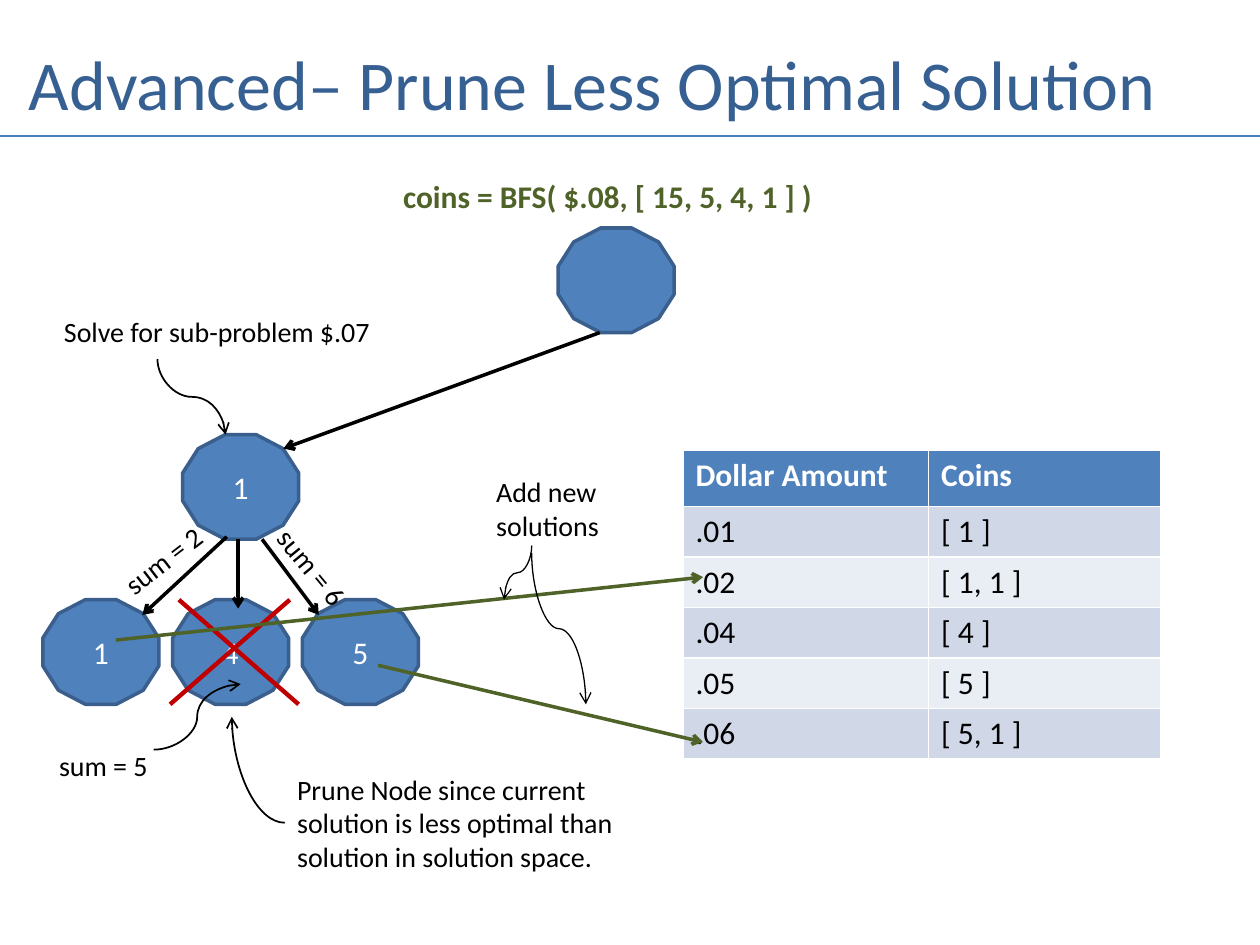
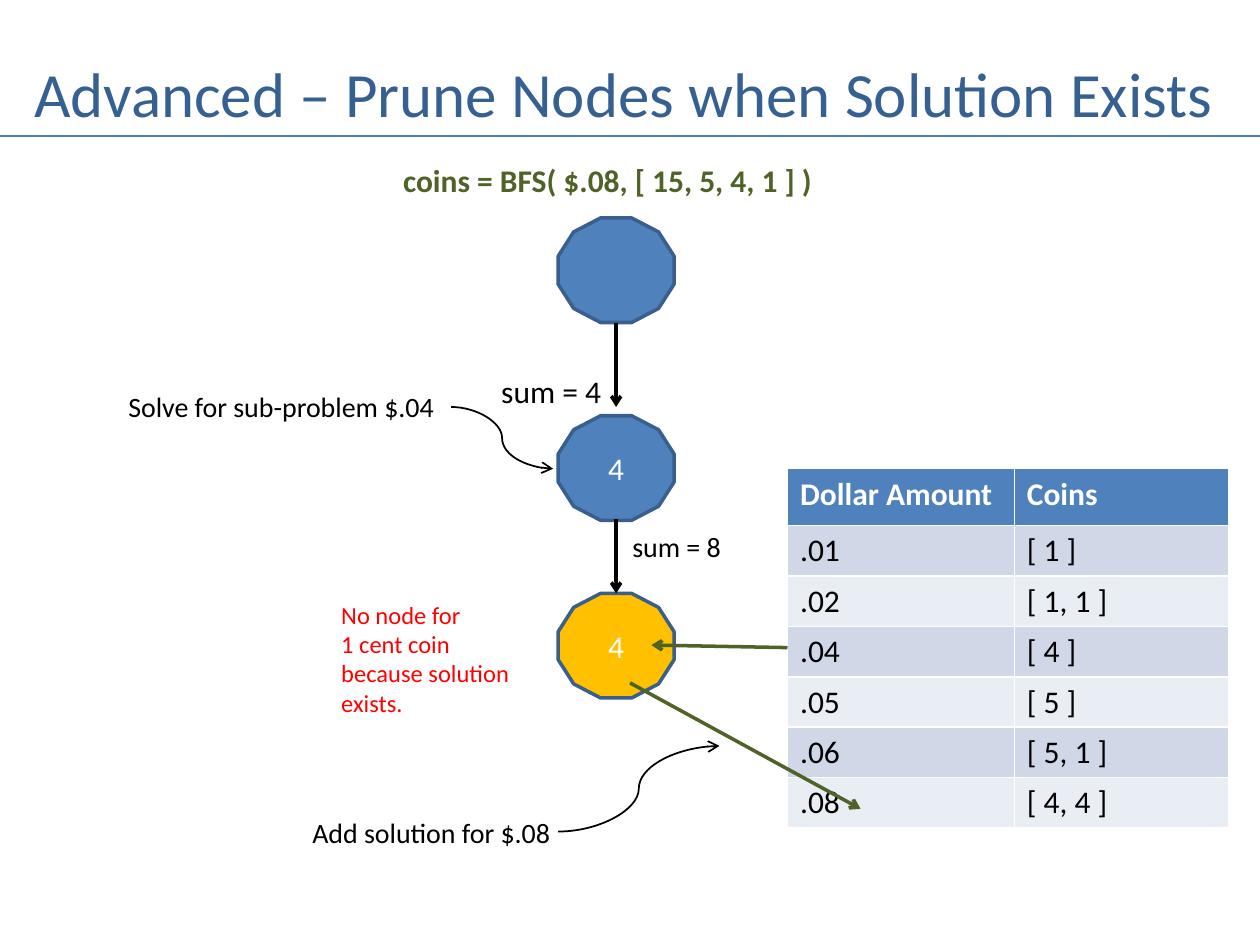
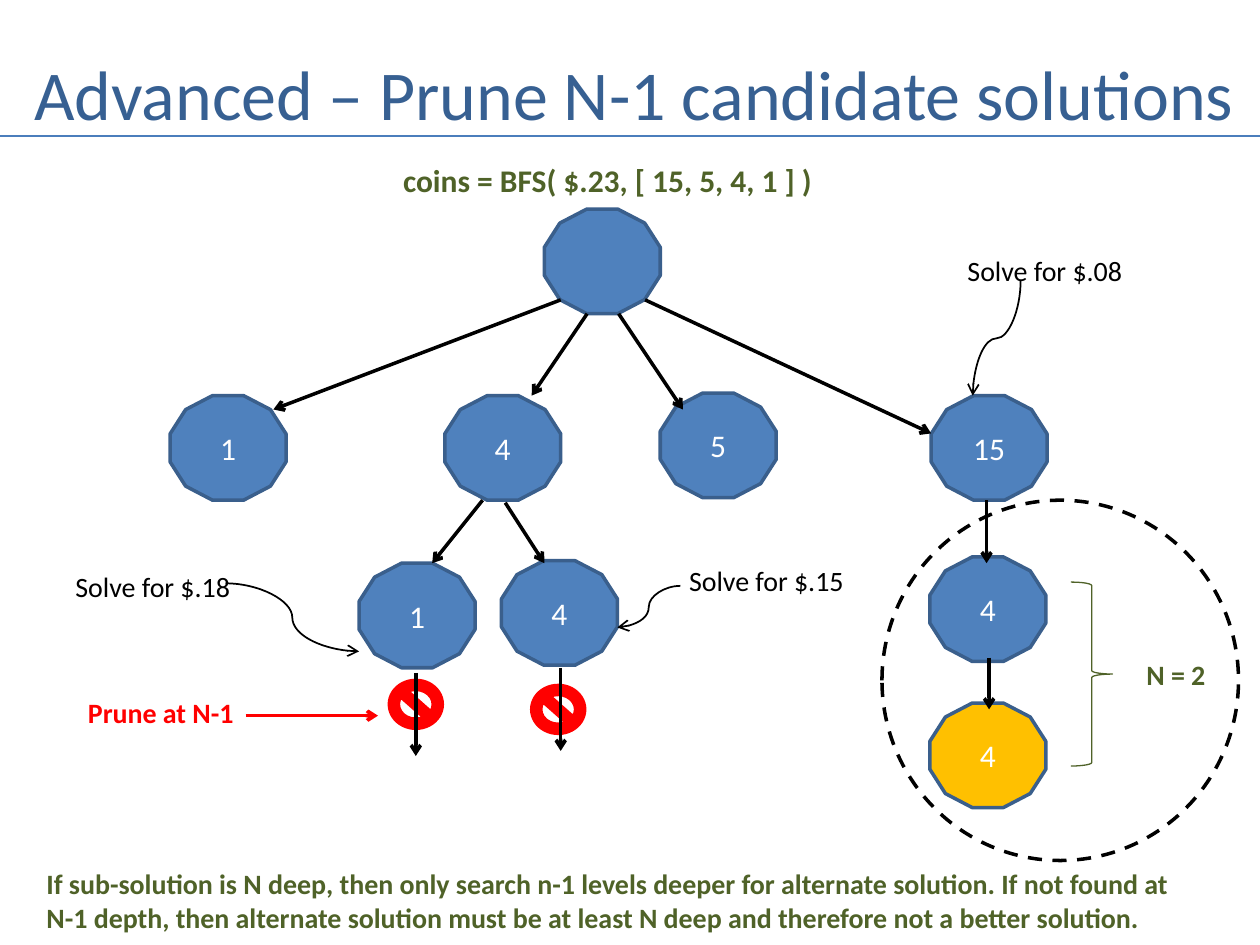
from lxml import etree
from pptx import Presentation
from pptx.dml.color import RGBColor
from pptx.enum.dml import MSO_LINE
from pptx.enum.shapes import MSO_CONNECTOR as CONN, MSO_SHAPE as SHAPE
from pptx.enum.text import MSO_ANCHOR, MSO_AUTO_SIZE as AUTO, PP_ALIGN
from pptx.oxml.ns import qn
from pptx.util import Inches, Pt

FONT = "Calibri"
TITLE_BLUE = RGBColor(0x37, 0x60, 0x92)
RULE_BLUE = RGBColor(0x4B, 0x7E, 0xBC)
BLUE = RGBColor(0x4F, 0x81, 0xBD)
NODE_EDGE = RGBColor(0x3A, 0x5F, 0x8C)
GOLD = RGBColor(0xFF, 0xC0, 0x00)
GREEN = RGBColor(0x4F, 0x62, 0x28)
RED = RGBColor(0xFF, 0x00, 0x00)
DARK_RED = RGBColor(0xC0, 0x00, 0x00)
BLACK = RGBColor(0, 0, 0)
WHITE = RGBColor(0xFF, 0xFF, 0xFF)
BANDS = [RGBColor(0xD0, 0xD8, 0xE8), RGBColor(0xE9, 0xED, 0xF4)]

NODE_W, NODE_H = 0.92, 0.83
SOLUTIONS = [(".01", "[ 1 ]"), (".02", "[ 1, 1 ]"), (".04", "[ 4 ]"),
             (".05", "[ 5 ]"), (".06", "[ 5, 1 ]")]


def style_text(tf, size, color, bold=False, align=PP_ALIGN.LEFT):
    for p in tf.paragraphs:
        p.alignment = align
        for r in p.runs:
            r.font.name, r.font.size, r.font.bold = FONT, Pt(size), bold
            r.font.color.rgb = color


class Region:
    """A part of a slide; every position is relative to its left top corner."""

    def __init__(self, s, left, top):
        self.shapes, self.left, self.top = s.shapes, left, top

    def at(self, x, y):
        return Inches(self.left + x), Inches(self.top + y)

    def shape(self, kind, x, y, w, h, fill, edge, width):
        sp = self.shapes.add_shape(kind, *self.at(x, y), Inches(w), Inches(h))
        sp.shadow.inherit = False
        if fill is None:
            sp.fill.background()
        else:
            sp.fill.solid()
            sp.fill.fore_color.rgb = fill
        sp.line.color.rgb = edge
        sp.line.width = Pt(width)
        return sp

    def node(self, x, y, text="", fill=BLUE):
        sp = self.shape(SHAPE.DODECAGON, x, y, NODE_W, NODE_H, fill, NODE_EDGE, 2)
        if text:
            tf = sp.text_frame
            tf.text = text
            tf.vertical_anchor = MSO_ANCHOR.MIDDLE
            style_text(tf, 18, WHITE, align=PP_ALIGN.CENTER)

    def label(self, text, x, y, w, h=0.37, size=16, color=BLACK, bold=False,
              wrap=False, rotation=0):
        tb = self.shapes.add_textbox(*self.at(x, y), Inches(w), Inches(h))
        tf = tb.text_frame
        tf.text = text
        tf.word_wrap = wrap
        tf.auto_size = AUTO.SHAPE_TO_FIT_TEXT
        tb.rotation = rotation
        style_text(tf, size, color, bold)

    def line(self, start, end, color=BLACK, width=2, head=True, kind=CONN.STRAIGHT):
        conn = self.shapes.add_connector(kind, *self.at(*start), *self.at(*end))
        conn.line.color.rgb = color
        conn.line.width = Pt(width)
        if head:
            ln = conn.line._get_or_add_ln()
            etree.SubElement(ln, qn("a:tailEnd"), type="arrow")
        etree.SubElement(conn._element.spPr, qn("a:effectLst"))
        return conn

    def curve(self, start, end, width=1):
        return self.line(start, end, width=width, kind=CONN.CURVE)

    def falling_curve(self, start, end, width=1):
        """S-curve that leaves downwards: a sideways one turned by 90 degrees."""
        (x1, y1), (x2, y2) = start, end
        cx, cy = (x1 + x2) / 2, (y1 + y2) / 2
        dx, dy = (x2 - x1) / 2, (y2 - y1) / 2
        conn = self.curve((cx - dy, cy + dx), (cx + dy, cy - dx), width)
        conn._element.spPr.find(qn("a:xfrm")).set("rot", str(90 * 60000))

    def bent_curve(self, start, end):
        """Quarter curve that leaves sideways and arrives upright."""
        conn = self.curve(start, end)
        conn._element.spPr.find(qn("a:prstGeom")).set("prst", "curvedConnector2")

    def table(self, rows, x, y, col_widths):
        rows = [("Dollar Amount", "Coins")] + rows
        heights = [0.45] + [0.4] * (len(rows) - 1)
        table = self.shapes.add_table(len(rows), 2, *self.at(x, y),
                                      Inches(sum(col_widths)),
                                      Inches(sum(heights))).table
        for col, w in zip(table.columns, col_widths):
            col.width = Inches(w)
        for i, (row, values) in enumerate(zip(table.rows, rows)):
            row.height = Inches(heights[i])
            for cell, value in zip(row.cells, values):
                cell.text = value
                cell.fill.solid()
                cell.fill.fore_color.rgb = BANDS[(i - 1) % 2] if i else BLUE
                style_text(cell.text_frame, 18, BLACK if i else WHITE, bold=i == 0)


def title_slide(prs, text, left, top, width, size, call, call_top):
    """Slide with title, rule and the search call above the tree."""
    s = prs.slides.add_slide(prs.slide_layouts[5])
    title = s.shapes.title
    title.left, title.top = Inches(left), Inches(top)
    title.width, title.height = Inches(width), Inches(0.87)
    tf = title.text_frame
    tf.text = text
    tf.word_wrap = True
    tf.auto_size = AUTO.NONE
    tf.vertical_anchor = MSO_ANCHOR.MIDDLE
    style_text(tf, size, TITLE_BLUE)
    page = Region(s, 0, 0)
    page.line((0, 1.08), (10, 1.08), RULE_BLUE, 1.5, head=False)
    page.label(call, 3.1, call_top, 3.58, 0.4, 18, GREEN, True)
    return s


# Slide 1: prune the less optimal node
def less_optimal_tree(s, left, top):
    tree = Region(s, left, top)
    tree.node(1.11, 1.64, "1")
    tree.node(4.09, 0)
    for i, coin in enumerate("145"):
        tree.node(1.03 * i, 2.95, coin)
    for start, end in [((4.42, 0.83), (1.91, 1.75)), ((1.46, 2.45), (0.79, 3.07)),
                       ((1.74, 2.47), (2.19, 3.07)), ((1.55, 2.47), (1.55, 3.02))]:
        tree.line(start, end)
    tree.label("sum = 2", 0.49, 2.41, 1.04, wrap=True, rotation=322.4)
    tree.label("sum = 6", 1.66, 2.56, 1.04, wrap=True, rotation=50.4)
    tree.label("sum = 5", 0.03, 4.08, 0.91)
    tree.curve((0.88, 4.14), (1.57, 3.62))
    # Cross over the pruned node
    tree.line((1.01, 3.78), (1.96, 2.95), DARK_RED, 2.5, head=False)
    tree.line((2.03, 3.78), (1.08, 2.95), DARK_RED, 2.5, head=False)
    tree.label("Prune Node since current\vsolution is less optimal than\n"
               "solution in solution space.", 1.92, 4.27, 2.74, 0.91)
    tree.bent_curve((1.92, 4.72), (1.5, 3.88))
    tree.label("Solve for sub-problem $.07", 0.07, 0.64, 2.66)
    tree.falling_curve((0.91, 1.04), (1.45, 1.64))


def new_solutions(s, left, top):
    box = Region(s, left, top)
    box.table(SOLUTIONS, 4.5, 0, [1.95, 1.84])
    box.line((0, 1.51), (4.66, 1.01), GREEN)
    box.line((2.08, 1.71), (4.66, 2.32), GREEN)
    box.label("Add new\nsolutions", 2.92, 0.15, 1.06, 0.64)
    box.falling_curve((3.3, 0.76), (3.08, 1.19), 0.75)
    box.falling_curve((3.3, 0.82), (3.73, 2.02), 0.75)


# Slide 2: prune nodes when a solution exists
def existing_solution_tree(s, left, top):
    tree = Region(s, left, top)
    tree.node(3.51, 1.57, "4")
    tree.node(3.51, 0)
    tree.node(3.51, 2.98, "4", GOLD)
    tree.line((3.97, 0.83), (3.97, 1.5))
    tree.line((3.97, 2.39), (3.97, 2.98))
    tree.label("sum = 4", 2.96, 1.17, 1, 0.4, 18)
    tree.label("sum = 8", 4, 2.42, 0.94, wrap=True)
    tree.label("Solve for sub-problem $.04", 0, 1.31, 2.66)
    tree.curve((2.66, 1.5), (3.47, 1.99))
    tree.label("No node for\v1 cent coin\nbecause solution\nexists.",
               1.69, 2.98, 1.55, 1.04, 14, RED)


def reused_solutions(s, left, top):
    box = Region(s, left, top)
    box.table(SOLUTIONS + [(".08", "[ 4, 4 ]")], 3.87, 0, [1.8, 1.7])
    box.line((3.87, 1.42), (2.79, 1.4), GREEN)
    box.line((2.62, 1.7), (4.45, 2.7), GREEN)
    box.label("Add solution for $.08", 0, 2.7, 2.12)
    box.curve((2.05, 2.88), (3.33, 2.2))


# Slide 3: prune candidates at depth N-1
def candidate_tree(s, left, top):
    tree = Region(s, left, top)
    for x, y, coin in [(0.85, 1.48, "1"), (3.03, 1.48, "4"), (4.74, 1.46, "5"),
                       (3.82, 0, ""), (6.89, 1.48, "15"),
                       (3.48, 2.79, "4"), (2.35, 2.81, "1")]:
        tree.node(x, y, coin)
    for start, end in [((3.95, 0.72), (1.67, 1.59)), ((4.16, 0.83), (3.72, 1.48)),
                       ((4.41, 0.83), (4.92, 1.59)), ((4.62, 0.72), (6.89, 1.78)),
                       ((3.51, 2.33), (3.82, 2.81)), ((3.33, 2.31), (2.93, 2.81))]:
        tree.line(start, end)
    for amount, x, y in [(".08", 7.08, 0.3), (".15", 4.87, 2.76), (".18", 0, 2.81)]:
        tree.label("Solve for $" + amount, x, y, 1.45)
    tree.falling_curve((7.6, 0.57), (7.22, 1.48))
    tree.curve((4.9, 2.99), (4.4, 3.32))
    tree.curve((1.29, 2.97), (2.35, 3.51))
    # Stop signs under the pruned branches
    for sign_x, sign_y, arrow_x, arrow_y in [(2.59, 3.74, 2.8, 3.68),
                                             (3.72, 3.78, 3.95, 3.64)]:
        tree.shape(SHAPE.NO_SYMBOL, sign_x, sign_y, 0.42, 0.38, RED, RED, 2)
        tree.line((arrow_x, arrow_y), (arrow_x, arrow_y + 0.66))
    tree.label("Prune at N-1", 0.1, 3.81, 1.37, color=RED, bold=True)
    tree.line((1.45, 4.02), (2.5, 4.02), RED)


def found_depth(s, left, top):
    box = Region(s, left, top)
    box.node(0.38, 0.45, "4")
    box.node(0.38, 1.61, "4", GOLD)
    box.line((0.83, 0), (0.83, 0.5))
    box.line((0.85, 1.25), (0.85, 1.66))
    box.shape(SHAPE.RIGHT_BRACE, 1.5, 0.65, 0.33, 1.46, None, GREEN, 0.75)
    box.label("N = 2", 2, 1.2, 0.68, color=GREEN, bold=True)
    ring = box.shape(SHAPE.OVAL, 0, 0, 2.83, 2.86, None, BLACK, 2)
    ring.line.dash_style = MSO_LINE.DASH


def depth_note(s, left, top):
    Region(s, left, top).label(
        "If sub-solution is N deep, then only search n-1 levels deeper for "
        "alternate solution. If not found at\n"
        "N-1 depth, then alternate solution must be at least N deep and "
        "therefore not a better solution.", 0, 0, 9.22, 0.64, color=GREEN, bold=True)


def main():
    prs = Presentation()
    prs.slide_width, prs.slide_height = Inches(10), Inches(7.5)

    s = title_slide(prs, "Advanced– Prune Less Optimal Solution", 0.13, 0.22, 9.92,
                    40, "coins = BFS( $.08, [ 15, 5, 4, 1 ] )", 1.36)
    less_optimal_tree(s, 0.34, 1.81)
    new_solutions(s, 0.92, 3.57)

    s = title_slide(prs, "Advanced – Prune Nodes when Solution Exists", 0.17, 0.3,
                    9.75, 36, "coins = BFS( $.08, [ 15, 5, 4, 1 ] )", 1.23)
    existing_solution_tree(s, 0.92, 1.73)
    reused_solutions(s, 2.38, 3.72)

    s = title_slide(prs, "Advanced – Prune N-1 candidate solutions", 0.17, 0.3,
                    9.75, 40, "coins = BFS( $.23, [ 15, 5, 4, 1 ] )", 1.23)
    candidate_tree(s, 0.5, 1.66)
    found_depth(s, 7, 3.97)
    depth_note(s, 0.27, 6.83)

    prs.save("out.pptx")


if __name__ == "__main__":
    main()
